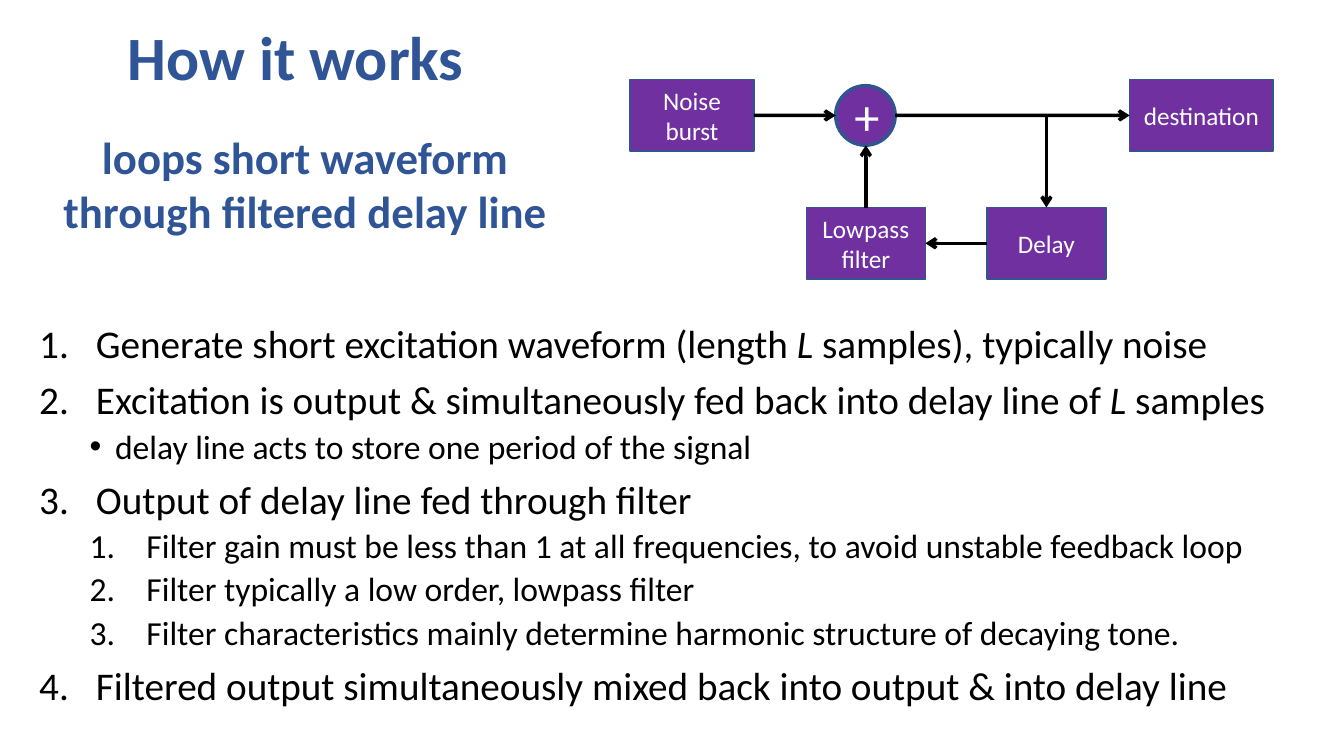
from dataclasses import dataclass

from lxml import etree
from pptx import Presentation, util as u
from pptx.dml.color import RGBColor
from pptx.enum import shapes, text
from pptx.oxml import ns

FONT = "Calibri"
PURPLE, BLUE, OUTLINE = "7030A0", "2F5597", "325491"
BLACK, WHITE = "000000", "FFFFFF"
TOP, LEFT, BOTTOM, RIGHT = range(4)


@dataclass(frozen=True)
class Box:
    label: str
    left: float
    top: float
    width: float
    height: float = 1.8
    kind: shapes.MSO_SHAPE = shapes.MSO_SHAPE.RECTANGLE
    line: float = 1
    size: float = 18


@dataclass(frozen=True)
class Arrow:
    start: tuple[float, float]
    end: tuple[float, float]
    source: tuple[str, int] | None = None
    target: tuple[str, int] | None = None


@dataclass(frozen=True)
class Item:
    content: str
    level: int = 0
    bullet: str = ""


TOP_ROW, BOTTOM_ROW = 2.01, 5.23
TOP_AXIS, BOTTOM_AXIS = 2.91, 6.13
MIXER_AXIS, DELAY_AXIS = 21.82, 26.37

BOXES = {
    "noise": Box("Noise\nburst", 15.88, TOP_ROW, 3.12),
    "delay": Box("Delay", 24.87, BOTTOM_ROW, 3),
    "lowpass": Box("Lowpass filter", 20.32, BOTTOM_ROW, 3),
    "destination": Box("destination", 28.47, TOP_ROW, 3.61),
    "mixer": Box("+", 21.06, 2.16, 1.5, 1.5, shapes.MSO_SHAPE.OVAL, 2.5, 36),
}
ARROWS = [
    Arrow((19, TOP_AXIS), (21.06, TOP_AXIS), source=("noise", RIGHT)),
    Arrow((24.87, BOTTOM_AXIS), (23.32, BOTTOM_AXIS), ("delay", LEFT), ("lowpass", RIGHT)),
    Arrow((DELAY_AXIS, TOP_AXIS), (DELAY_AXIS, BOTTOM_ROW), target=("delay", TOP)),
    Arrow((MIXER_AXIS, BOTTOM_ROW), (MIXER_AXIS, 3.66), source=("lowpass", TOP)),
    Arrow((22.56, TOP_AXIS), (28.47, TOP_AXIS), target=("destination", LEFT)),
]
ITEMS = [
    Item("Generate short excitation waveform (length *L* samples), typically noise"),
    Item("Excitation is output & simultaneously fed back into delay line of *L* samples"),
    Item("delay line acts to store one period of the signal", 1, "•"),
    Item("Output of delay line fed through filter"),
    Item("Filter gain must be less than 1 at all frequencies, to avoid unstable feedback loop", 1),
    Item("Filter typically a low order, lowpass filter", 1),
    Item("Filter characteristics mainly determine harmonic structure of decaying tone.", 1),
    Item("Filtered output simultaneously mixed back into output & into delay line"),
]


def color(value: str) -> RGBColor:
    return RGBColor.from_string(value)


def set_font(paragraph, size: float, value: str, bold: bool = False) -> None:
    font = paragraph.font
    font.name, font.size, font.bold = FONT, u.Pt(size), bold
    font.color.rgb = color(value)


def add_text(slide, left: float, top: float, width: float, height: float):
    frame = slide.shapes.add_textbox(*map(u.Cm, (left, top, width, height))).text_frame
    frame.word_wrap = True
    return frame


def add_heading(frame, content: str, size: float) -> None:
    paragraph = frame.paragraphs[0]
    paragraph.text = content
    paragraph.alignment = text.PP_ALIGN.CENTER
    set_font(paragraph, size, BLUE, bold=True)


def add_item(paragraph, item: Item, first: bool) -> None:
    paragraph.level = item.level
    paragraph.line_spacing = 0.9
    paragraph.space_before = u.Pt(0 if first else 5 if item.level else 10)
    hanging = 0.64 if item.bullet else 1.43
    properties = paragraph._p.get_or_add_pPr()
    properties.set("marL", str(u.Cm(1.27 * item.level + hanging)))
    properties.set("indent", str(-u.Cm(hanging)))
    if item.bullet:
        etree.SubElement(properties, ns.qn("a:buFont"), typeface="Arial")
        etree.SubElement(properties, ns.qn("a:buChar"), char=item.bullet)
    else:
        etree.SubElement(properties, ns.qn("a:buFont"), typeface="+mj-lt")
        etree.SubElement(properties, ns.qn("a:buAutoNum"), type="arabicPeriod")
    set_font(paragraph, 24 if item.level else 28, BLACK)
    for index, part in enumerate(item.content.split("*")):
        run = paragraph.add_run()
        run.text = part
        if index % 2:
            run.font.italic = True


def add_box(slide, box: Box):
    shape = slide.shapes.add_shape(
        box.kind, *map(u.Cm, (box.left, box.top, box.width, box.height)))
    shape.shadow.inherit = False
    shape.fill.solid()
    shape.fill.fore_color.rgb = color(PURPLE)
    shape.line.color.rgb = color(OUTLINE)
    shape.line.width = u.Pt(box.line)
    frame = shape.text_frame
    frame.text = box.label
    frame.word_wrap = True
    frame.vertical_anchor = text.MSO_ANCHOR.MIDDLE
    for paragraph in frame.paragraphs:
        paragraph.alignment = text.PP_ALIGN.CENTER
        set_font(paragraph, box.size, WHITE)
    return shape


def add_arrow(slide, arrow: Arrow, drawn: dict) -> None:
    connector = slide.shapes.add_connector(
        shapes.MSO_CONNECTOR.STRAIGHT, *map(u.Cm, arrow.start + arrow.end))
    if arrow.source:
        name, side = arrow.source
        connector.begin_connect(drawn[name], side)
    if arrow.target:
        name, side = arrow.target
        connector.end_connect(drawn[name], side)
    connector.line.color.rgb = color(BLACK)
    connector.line.width = u.Pt(2.5)
    etree.SubElement(connector.line._get_or_add_ln(), ns.qn("a:tailEnd"), type="arrow")
    etree.SubElement(connector._element.spPr, ns.qn("a:effectLst"))


def main() -> None:
    presentation = Presentation()
    presentation.slide_width, presentation.slide_height = u.Cm(33.87), u.Cm(19.05)
    slide = presentation.slides.add_slide(presentation.slide_layouts[6])

    title = add_text(slide, 0.23, 0.23, 14.45, 2.57)
    title.vertical_anchor = text.MSO_ANCHOR.MIDDLE
    add_heading(title, "How it works", 44)
    title.paragraphs[0].line_spacing = 0.9
    subtitle = add_text(slide, 0.58, 3.15, 14.22, 3)
    add_heading(subtitle, "loops short waveform through filtered delay line", 32)

    steps = add_text(slide, 0.74, 8.05, 32.36, 10.62)
    for index, item in enumerate(ITEMS):
        paragraph = steps.add_paragraph() if index else steps.paragraphs[0]
        add_item(paragraph, item, first=index == 0)

    drawn = {name: add_box(slide, box) for name, box in BOXES.items()}
    for arrow in ARROWS:
        add_arrow(slide, arrow, drawn)
    presentation.save("out.pptx")


if __name__ == "__main__":
    main()
